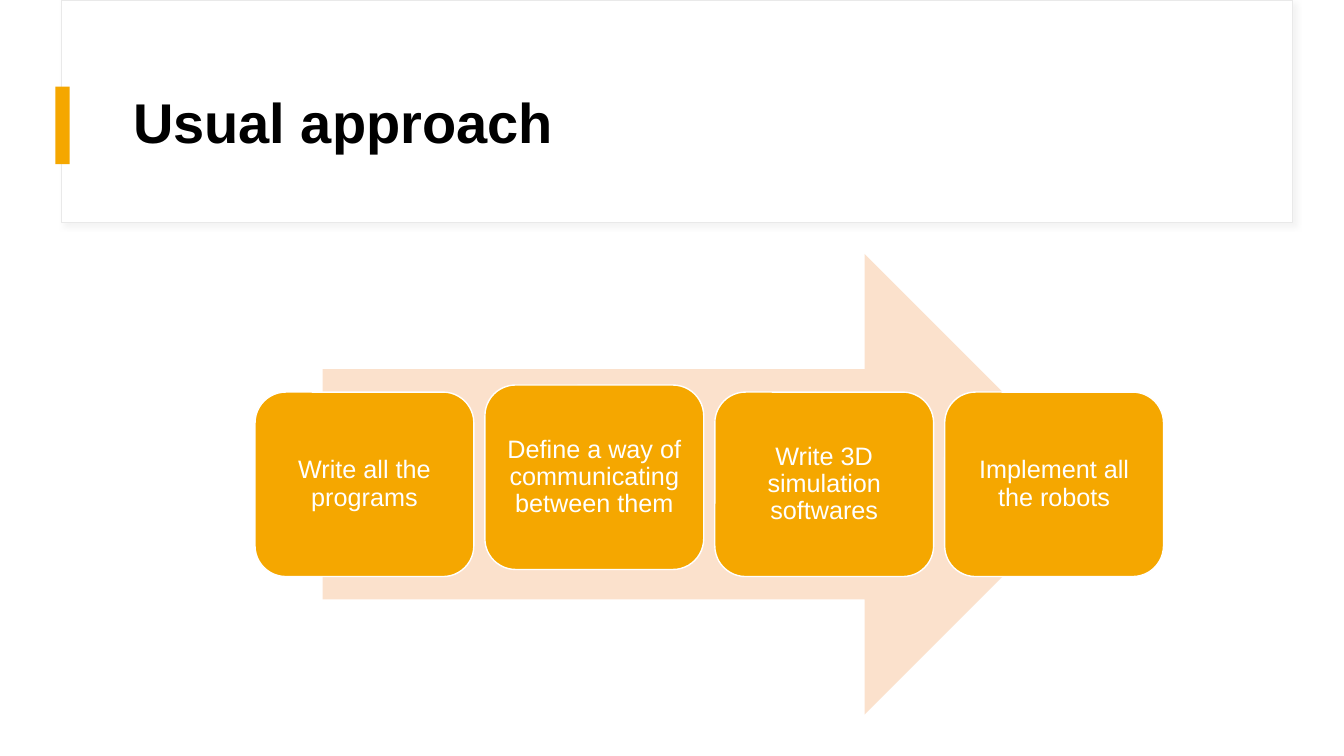
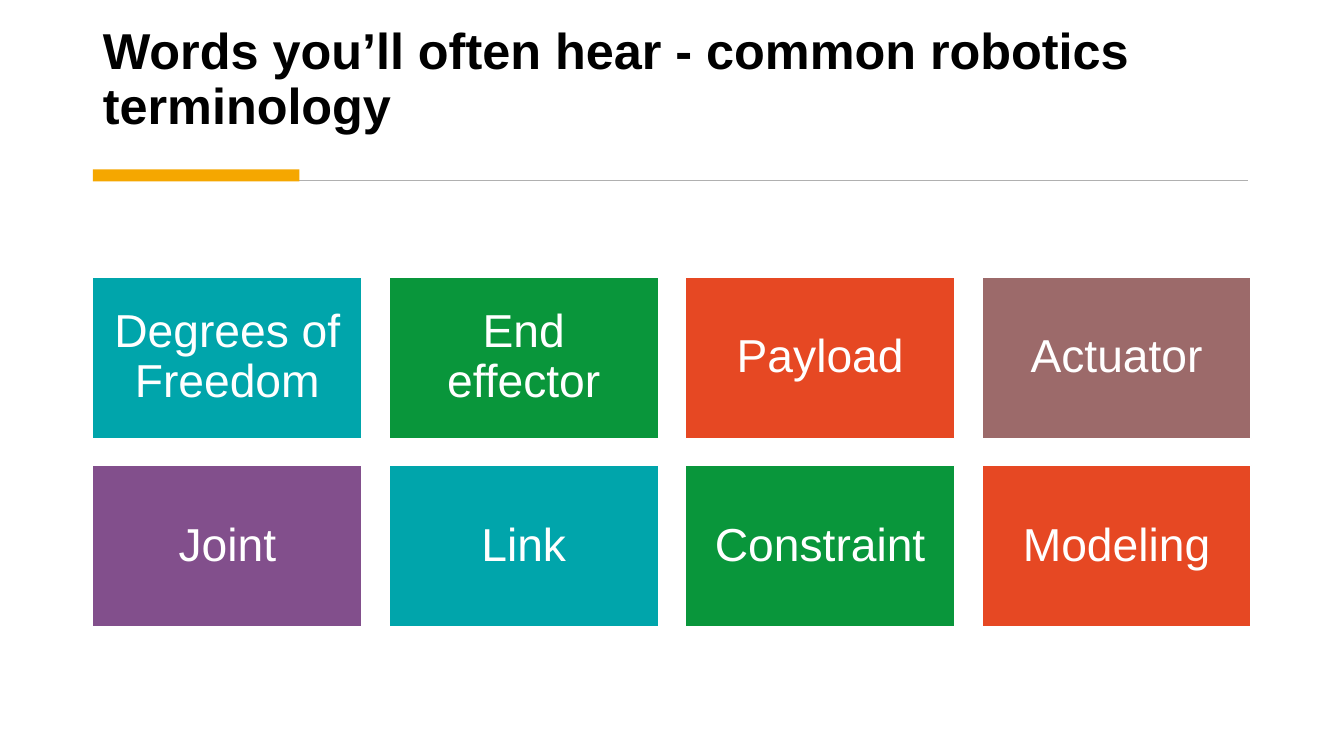
from itertools import cycle

from lxml import etree
from pptx import Presentation
from pptx.dml.color import RGBColor
from pptx.enum import shapes, text
from pptx.oxml.ns import qn
from pptx.util import Inches, Pt

AMBER = "F5A700"
WHITE = "FFFFFF"
BLACK = "000000"
PEACH = "FBE1CC"
FRAME_GREY = "E9E9E9"
SHADOW_GREY = "D9D9D9"
RULE_GREY = "B0B0B0"
TILE_COLOURS = ["00A5AB", "09963B", "E64823", "9C6A6A", "824F8C"]

RECTANGLE = shapes.MSO_SHAPE.RECTANGLE
ROUNDED = shapes.MSO_SHAPE.ROUNDED_RECTANGLE
ARROW = shapes.MSO_SHAPE.RIGHT_ARROW
MIDDLE = text.MSO_ANCHOR.MIDDLE
BOTTOM = text.MSO_ANCHOR.BOTTOM
LEFT = text.PP_ALIGN.LEFT
CENTER = text.PP_ALIGN.CENTER


def colour(value):
    return RGBColor.from_string(value)


def set_values(target, values):
    for name, value in values.items():
        setattr(target, name, value)


class Deck:
    """Holds the shared style and the slide being drawn."""

    font = "Arial"

    def __init__(self):
        self.presentation = Presentation()
        set_values(self.presentation, {"slide_width": Inches(13.33), "slide_height": Inches(7.5)})
        self.slide = None

    def new_slide(self):
        self.slide = self.presentation.slides.add_slide(self.presentation.slide_layouts[5])

    def label(self, shape, words, size, font_colour, align, anchor, inset=None, bold=False):
        frame = shape.text_frame
        frame.text = words
        set_values(frame, {"word_wrap": True, "auto_size": text.MSO_AUTO_SIZE.NONE,
                           "vertical_anchor": anchor})
        if inset is not None:
            sides = ("left", "top", "right", "bottom")
            set_values(frame, {f"margin_{side}": Inches(inset) for side in sides})
        paragraph = frame.paragraphs[0]
        set_values(paragraph, {"alignment": align, "line_spacing": 0.9})
        set_values(paragraph.font, {"name": self.font, "size": Pt(size), "bold": bold})
        paragraph.font.color.rgb = colour(font_colour)

    def title(self, words, box, size, anchor):
        """Fills the title placeholder and brings it in front of the shapes drawn so far."""
        title = self.slide.shapes.title
        set_values(title, dict(zip(("left", "top", "width", "height"), map(Inches, box))))
        self.label(title, words, size, BLACK, LEFT, anchor, bold=True)
        self.slide.shapes.element.append(title.element)

    def shape(self, kind, box, fill, line=None, width=1):
        shape = self.slide.shapes.add_shape(kind, *map(Inches, box))
        shape.shadow.inherit = False
        shape.fill.solid()
        shape.fill.fore_color.rgb = colour(fill)
        if line:
            shape.line.color.rgb = colour(line)
            shape.line.width = Pt(width)
        else:
            shape.line.fill.background()
        return shape

    def card(self, kind, box, fill, words, size, inset):
        card = self.shape(kind, box, fill, line=WHITE)
        self.label(card, words, size, WHITE, CENTER, MIDDLE, inset)

    def title_frame(self):
        """Draws the softly shadowed panel behind a title, with its side marker."""
        panel = self.shape(RECTANGLE, (0.61, 0, 12.21, 2.21), WHITE, FRAME_GREY, 0.75)
        effects = panel.element.spPr.find(qn("a:effectLst"))
        shadow = etree.SubElement(effects, qn("a:outerShdw"), blurRad=str(Pt(4)),
                                  dist=str(Pt(3)), dir="2700000", rotWithShape="0")
        tint = etree.SubElement(shadow, qn("a:srgbClr"), val=SHADOW_GREY)
        etree.SubElement(tint, qn("a:alpha"), val="30000")
        self.shape(RECTANGLE, (0.55, 0.86, 0.14, 0.77), AMBER)

    def rule(self, left, right, y):
        rule = self.slide.shapes.add_connector(
            shapes.MSO_CONNECTOR.STRAIGHT, *map(Inches, (left, y, right, y)))
        rule.line.color.rgb = colour(RULE_GREY)
        rule.line.width = Pt(1.25)
        etree.SubElement(rule.element.spPr, qn("a:effectLst"))


def approach_slide(deck):
    deck.new_slide()
    deck.title_frame()
    deck.title("Usual approach", (1.22, 0.6, 11.12, 1.29), 40, MIDDLE)
    deck.shape(ARROW, (3.2, 2.52, 7.66, 4.57), PEACH)
    steps = [
        ("Write all the programs", 3.89),
        ("Define a way of communicating between them", 3.82),
        ("Write 3D simulation softwares", 3.89),
        ("Implement all the robots", 3.89),
    ]
    for index, (step, top) in enumerate(steps):
        deck.card(ROUNDED, (2.53 + 2.28 * index, top, 2.17, 1.83), AMBER, step, 18, 0.07)


def terminology_slide(deck):
    deck.new_slide()
    deck.title("Words you’ll often hear - common robotics terminology",
               (0.92, 0.28, 11.49, 1.11), 36, BOTTOM)
    deck.rule(0.95, 12.38, 1.79)
    deck.shape(RECTANGLE, (0.92, 1.68, 2.05, 0.12), AMBER)
    terms = ["Degrees of Freedom", "End effector", "Payload", "Actuator",
             "Joint", "Link", "Constraint", "Modeling"]
    for index, (term, fill) in enumerate(zip(terms, cycle(TILE_COLOURS))):
        row, column = divmod(index, 4)
        box = (0.92 + 2.94 * column, 2.75 + 1.87 * row, 2.67, 1.6)
        deck.card(RECTANGLE, box, fill, term, 33, 0.14)


def main():
    deck = Deck()
    approach_slide(deck)
    terminology_slide(deck)
    deck.presentation.save("out.pptx")


if __name__ == "__main__":
    main()
